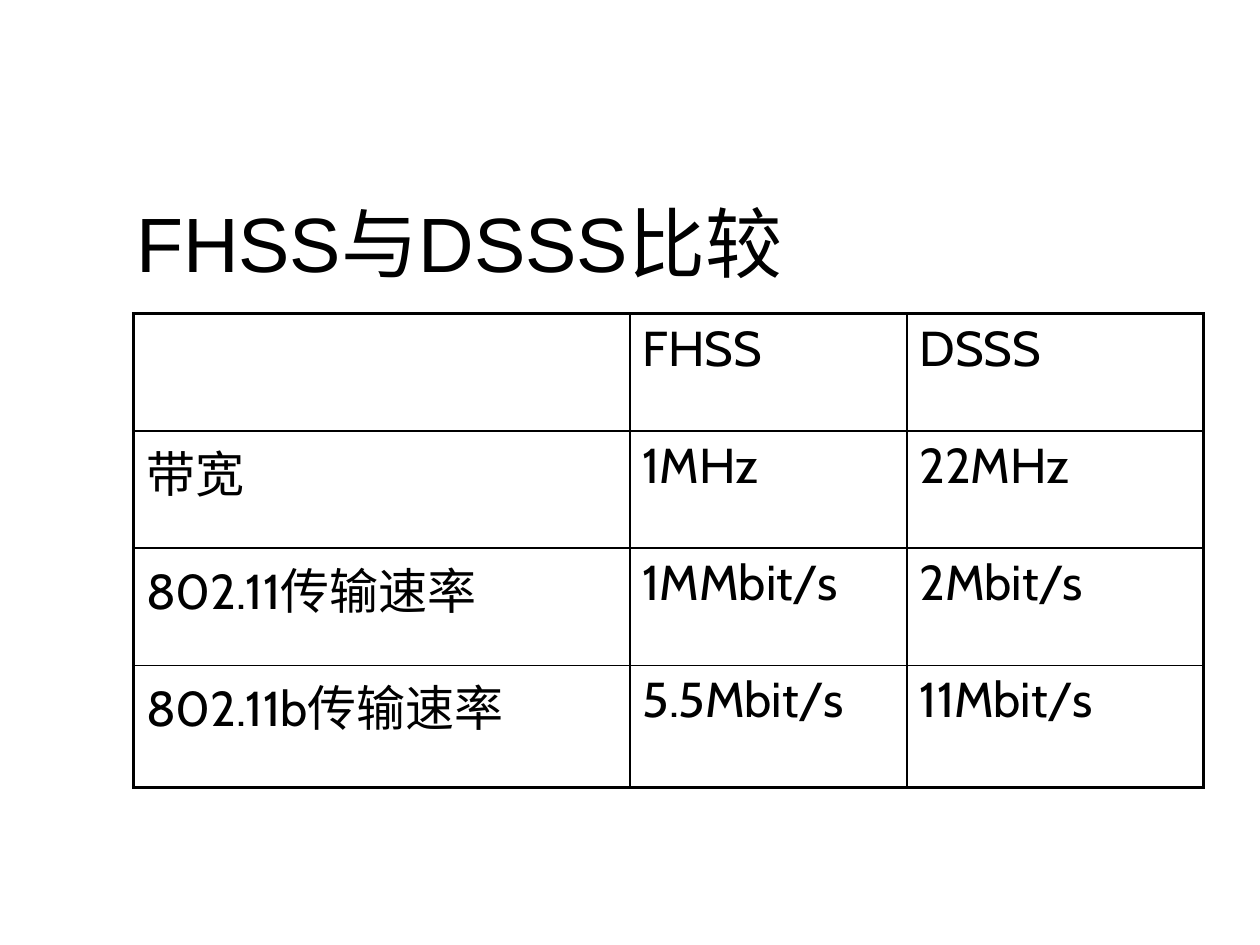
from dataclasses import dataclass

from lxml.etree import SubElement
from pptx import Presentation
from pptx.dml.color import RGBColor
from pptx.enum.text import MSO_ANCHOR, PP_ALIGN
from pptx.oxml.ns import qn
from pptx.util import Inches, Pt


@dataclass(frozen=True)
class Theme:
    ink: str = "000000"
    paper: str = "FFFFFF"
    title_font: str = "Arial"
    table_font: str = "Cabin"
    title_size: float = 44
    table_size: float = 28
    inner_line: float = 1
    outer_line: float = 2.25


@dataclass(frozen=True)
class Comparison:
    label: str
    fhss: str
    dsss: str


THEME = Theme()
COLUMN_WIDTHS = (3.94, 2.2, 2.35)
ROW_HEIGHTS = (0.93, 0.93, 0.93, 0.97)
COMPARISONS = (
    Comparison("", "FHSS", "DSSS"),
    Comparison("带宽", "1MHz", "22MHz"),
    Comparison("802.11传输速率", "1MMbit/s", "2Mbit/s"),
    Comparison("802.11b传输速率", "5.5Mbit/s", "11Mbit/s"),
)


def write_text(frame, text: str, *, font: str, size: float,
               color: str = THEME.ink, anchor=MSO_ANCHOR.TOP) -> None:
    """Fill a text frame with one left-aligned, formatted paragraph."""
    frame.text = text
    frame.word_wrap = True
    frame.vertical_anchor = anchor
    paragraph = frame.paragraphs[0]
    paragraph.alignment = PP_ALIGN.LEFT
    paragraph.space_before = Pt(0)
    for styled in (paragraph, *paragraph.runs):
        styled.font.name = font
        styled.font.size = Pt(size)
        styled.font.color.rgb = RGBColor.from_string(color)


def set_borders(cell, widths: dict[str, float]) -> None:
    """Draw solid borders on the named sides of a cell."""
    properties = cell._tc.get_or_add_tcPr()
    for side, width in widths.items():
        line = SubElement(properties, qn(f"a:ln{side}"), w=str(Pt(width)))
        fill = SubElement(line, qn("a:solidFill"))
        SubElement(fill, qn("a:srgbClr"), val=THEME.ink)


def add_title(slide, text: str) -> None:
    """Place and format the slide title."""
    title = slide.shapes.title
    title.left, title.top = Inches(0.98), Inches(1.39)
    title.width, title.height = Inches(8.52), Inches(1.05)
    write_text(title.text_frame, text, font=THEME.title_font,
               size=THEME.title_size, anchor=MSO_ANCHOR.MIDDLE)


def add_comparison_table(slide, comparisons: tuple[Comparison, ...]) -> None:
    """Add the comparison grid with a heavy outer frame."""
    last_row, last_column = len(comparisons) - 1, len(COLUMN_WIDTHS) - 1
    table = slide.shapes.add_table(
        last_row + 1, last_column + 1, Inches(1.06), Inches(2.49),
        Inches(sum(COLUMN_WIDTHS)), Inches(sum(ROW_HEIGHTS))).table
    table.first_row = table.horz_banding = False
    for column, width in zip(table.columns, COLUMN_WIDTHS):
        column.width = Inches(width)
    for row, height in zip(table.rows, ROW_HEIGHTS):
        row.height = Inches(height)
    for row, comparison in enumerate(comparisons):
        values = (comparison.label, comparison.fhss, comparison.dsss)
        for column, value in enumerate(values):
            cell = table.cell(row, column)
            cell.margin_left = cell.margin_right = Inches(0.1)
            cell.margin_top = cell.margin_bottom = Inches(0.04)
            write_text(cell.text_frame, value, font=THEME.table_font,
                       size=THEME.table_size)
            outer = {"L": column == 0, "R": column == last_column,
                     "T": row == 0, "B": row == last_row}
            set_borders(cell, {
                side: THEME.outer_line if is_outer else THEME.inner_line
                for side, is_outer in outer.items()})
            cell.fill.background()


def main() -> None:
    """Build and save the comparison slide."""
    presentation = Presentation()
    presentation.slide_width = Inches(10)
    presentation.slide_height = Inches(7.5)
    slide = presentation.slides.add_slide(presentation.slide_layouts[5])
    slide.background.fill.solid()
    slide.background.fill.fore_color.rgb = RGBColor.from_string(THEME.paper)
    add_title(slide, "FHSS与DSSS比较")
    add_comparison_table(slide, COMPARISONS)
    presentation.save("out.pptx")


if __name__ == "__main__":
    main()
